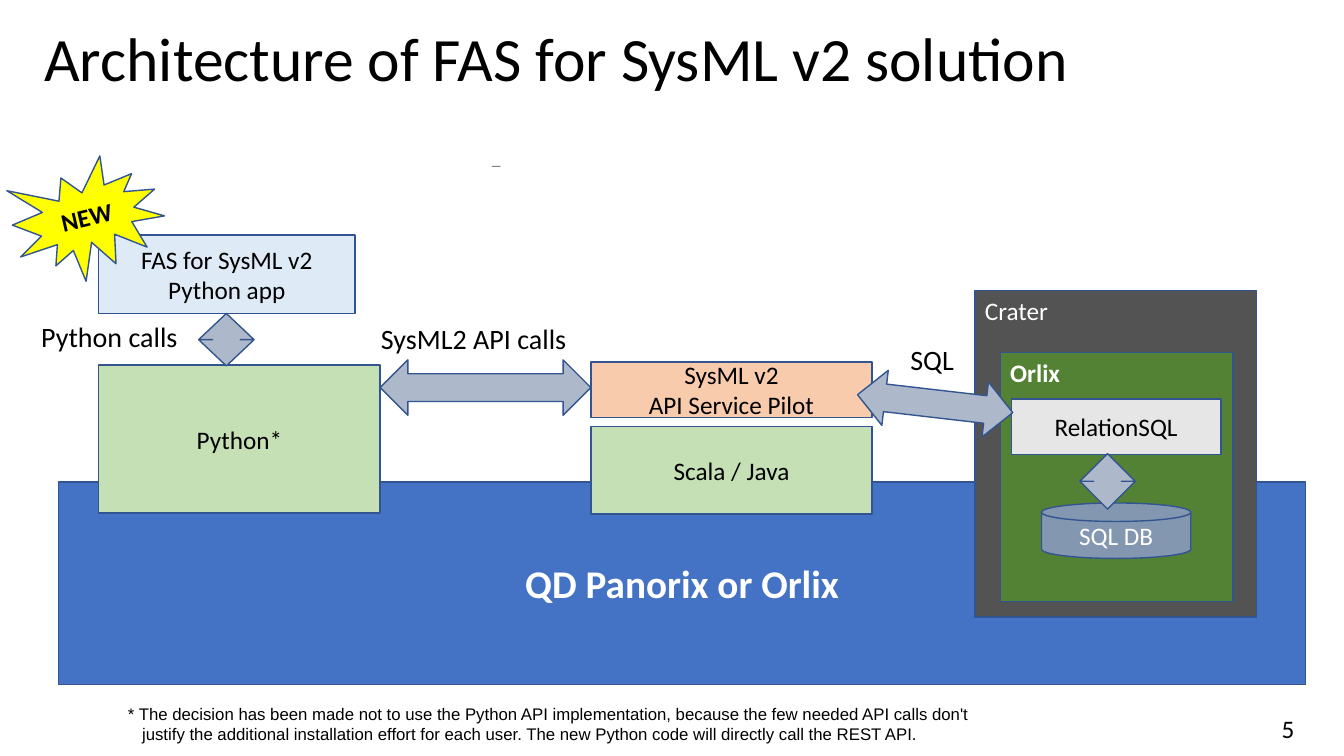
"""Build the architecture slide of the FAS for SysML v2 solution."""
from dataclasses import dataclass

from pptx import Presentation
from pptx.dml.color import RGBColor
from pptx.enum.shapes import MSO_SHAPE
from pptx.enum.text import MSO_ANCHOR, MSO_AUTO_SIZE, PP_ALIGN
from pptx.util import Inches, Pt

RECT = MSO_SHAPE.RECTANGLE
SEAL = MSO_SHAPE.EXPLOSION1
DISK = MSO_SHAPE.FLOWCHART_MAGNETIC_DISK
UP_DOWN = MSO_SHAPE.UP_DOWN_ARROW
RIGHT = MSO_SHAPE.RIGHT_ARROW
TOP, MIDDLE = MSO_ANCHOR.TOP, MSO_ANCHOR.MIDDLE
LEFT, CENTER = PP_ALIGN.LEFT, PP_ALIGN.CENTER
NO_FIT, GROW = MSO_AUTO_SIZE.NONE, MSO_AUTO_SIZE.SHAPE_TO_FIT_TEXT
TITLE_ONLY = 5


@dataclass(frozen=True)
class Theme:
    font: str = "Calibri"
    note_font: str = "Arial"
    black: str = "000000"
    white: str = "FFFFFF"
    outline: str = "325490"
    platform: str = "4472C4"
    runtime: str = "C5E0B4"
    app: str = "DEEBF7"
    service: str = "F8CBAD"
    badge: str = "FFFF00"
    container: str = "535353"
    guest: str = "548235"
    database: str = "E7E6E6"
    disk: str = "8497B0"
    arrow: str = "ADB9CA"
    tick_fill: str = "CFE7F5"
    tick_line: str = "808080"
    title_size: int = 44
    platform_size: int = 28
    label_size: int = 20
    body_size: int = 18
    note_size: int = 12


T = Theme()


@dataclass(frozen=True)
class Box:
    at: tuple[float, float, float, float]
    fill: str
    text: str
    color: str = T.black
    size: int = T.body_size
    bold: bool = False
    kind: int = RECT
    rotation: float = 0
    anchor: int = MIDDLE
    align: int = CENTER


@dataclass(frozen=True)
class Arrow:
    at: tuple[float, float, float, float]
    adjustments: tuple[float, float]
    rotation: float = 0
    kind: int = UP_DOWN
    fill: str = T.arrow
    line: str = T.outline
    weight: float = 1


@dataclass(frozen=True)
class Label:
    at: tuple[float, float, float, float]
    text: str
    size: int = T.label_size
    font: str = T.font
    hang: float = 0


BOXES = [
    Box((0.58, 4.78, 12.37, 2.01), T.platform, "QD Panorix or Orlix", T.white, T.platform_size, True),
    Box((0.98, 3.62, 2.79, 1.47), T.runtime, "Python*"),
    Box((0.98, 2.33, 2.54, 0.78), T.app, "FAS for SysML v2\nPython app"),
    Box((0.13, 1.59, 1.49, 1.18), T.badge, "NEW", bold=True, kind=SEAL, rotation=346.8),
    Box((9.67, 2.88, 2.79, 3.24), T.container, "Crater", T.white, anchor=TOP, align=LEFT),
    Box((9.92, 3.5, 2.31, 2.47), T.guest, "Orlix", T.white, bold=True, anchor=TOP, align=LEFT),
    Box((10.03, 3.96, 2.08, 0.55), T.database, "RelationSQL"),
    Box((10.33, 4.99, 1.48, 0.55), T.disk, "SQL DB", T.white, kind=DISK),
    Box((5.86, 4.23, 2.79, 0.87), T.runtime, "Scala / Java"),
    Box((5.86, 3.59, 2.79, 0.55), T.service, "SysML v2\nAPI Service Pilot"),
]

ARROWS = [
    Arrow((4.88, 1.65, 0.08, 0), (0.5, 50), kind=RIGHT, fill=T.tick_fill, line=T.tick_line, weight=0),
    Arrow((10.71, 4.5, 0.55, 0.55), (0.2, 0.5)),
    Arrow((1.97, 3.11, 0.55, 0.52), (0.2, 0.5)),
    Arrow((9, 3.23, 0.55, 1.55), (0.56, 0.5), 276.6),
    Arrow((4.54, 2.8, 0.55, 2.09), (0.76, 0.5), 270),
]

LABELS = [
    Label((0.31, 3.12, 1.76, 0.43), "Python calls"),
    Label((3.68, 3.14, 2.34, 0.43), "SysML2 API calls"),
    Label((8.93, 3.35, 0.71, 0.43), "SQL"),
    Label((12.62, 7.03, 0.19, 0.17), "5", T.body_size),
    Label(
        (1.17, 6.93, 8.59, 0.47),
        "* The decision has been made not to use the Python API implementation, "
        "because the few needed API calls don't\v"
        "justify the additional installation effort for each user. "
        "The new Python code will directly call the REST API.",
        T.note_size, T.note_font, 0.14,
    ),
]


def write(tf, text: str, size: int, color: str = T.black, font: str = T.font,
          bold: bool = False, align: int = LEFT) -> None:
    """Fill a text frame and format its runs."""
    tf.text = text
    for p in tf.paragraphs:
        p.alignment = align
        for r in p.runs:
            r.font.name, r.font.size, r.font.bold = font, Pt(size), bold
            r.font.color.rgb = RGBColor.from_string(color)


def add_shape(s, kind: int, at: tuple, fill: str, line: str, weight: float, rotation: float):
    """Add a filled, outlined preset shape without shadow."""
    sp = s.shapes.add_shape(kind, *map(Inches, at))
    sp.shadow.inherit = False
    sp.rotation = rotation
    sp.fill.solid()
    sp.fill.fore_color.rgb = RGBColor.from_string(fill)
    sp.line.color.rgb = RGBColor.from_string(line)
    sp.line.width = Pt(weight)
    return sp


def add_box(s, box: Box) -> None:
    """Draw one component with its caption."""
    sp = add_shape(s, box.kind, box.at, box.fill, T.outline, 1, box.rotation)
    sp.text_frame.vertical_anchor = box.anchor
    write(sp.text_frame, box.text, box.size, box.color, bold=box.bold, align=box.align)


def add_arrow(s, arrow: Arrow) -> None:
    """Draw one block arrow."""
    sp = add_shape(s, arrow.kind, arrow.at, arrow.fill, arrow.line, arrow.weight, arrow.rotation)
    for i, value in enumerate(arrow.adjustments):
        sp.adjustments[i] = value


def add_label(s, label: Label) -> None:
    """Draw one free-standing text, with a hanging indent if asked."""
    tf = s.shapes.add_textbox(*map(Inches, label.at)).text_frame
    tf.word_wrap = False
    tf.auto_size = GROW
    write(tf, label.text, label.size, font=label.font)
    if label.hang:
        pPr = tf.paragraphs[0]._p.get_or_add_pPr()
        pPr.set("marL", str(Inches(label.hang)))
        pPr.set("indent", str(-Inches(label.hang)))


def set_title(s, text: str) -> None:
    """Place and format the title placeholder."""
    sp = s.shapes.title
    sp.left, sp.top, sp.width, sp.height = map(Inches, (0.34, 0.23, 11.52, 0.61))
    tf = sp.text_frame
    tf.auto_size = NO_FIT
    tf.vertical_anchor = TOP
    write(tf, text, T.title_size)
    tf.paragraphs[0].line_spacing = 0.9


def main() -> None:
    """Create the presentation and save it."""
    prs = Presentation()
    prs.slide_width, prs.slide_height = Inches(13.33), Inches(7.5)
    s = prs.slides.add_slide(prs.slide_layouts[TITLE_ONLY])
    set_title(s, "Architecture of FAS for SysML v2 solution")
    for box in BOXES:
        add_box(s, box)
    for arrow in ARROWS:
        add_arrow(s, arrow)
    for label in LABELS:
        add_label(s, label)
    prs.save("out.pptx")


if __name__ == "__main__":
    main()
